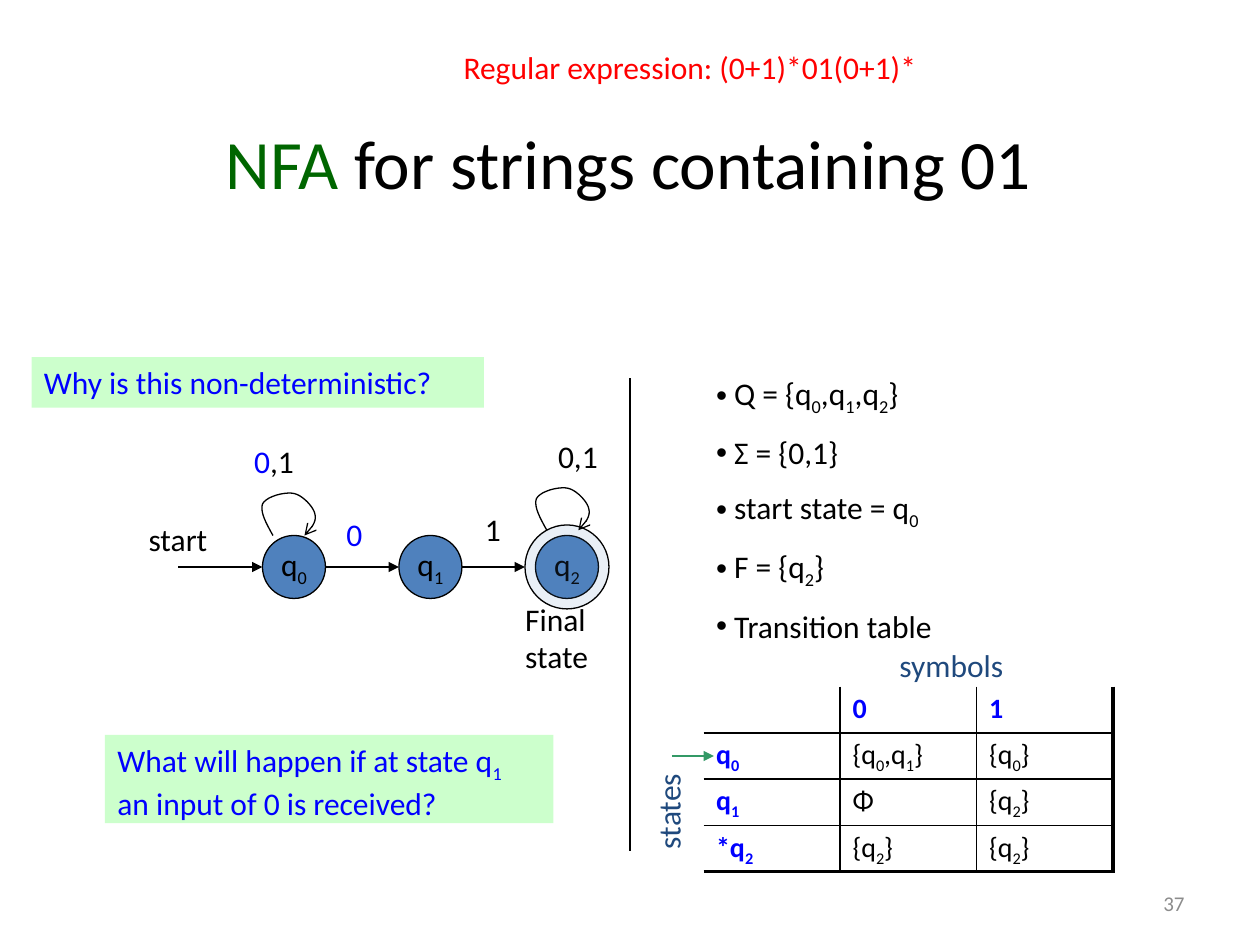
from lxml import etree
from pptx import Presentation
from pptx.dml.color import RGBColor
from pptx.enum.shapes import MSO_CONNECTOR, MSO_SHAPE
from pptx.enum.text import MSO_ANCHOR, MSO_AUTO_SIZE, PP_ALIGN
from pptx.oxml.ns import qn
from pptx.util import Pt

STRAIGHT = MSO_CONNECTOR.STRAIGHT
OVAL, RECTANGLE = MSO_SHAPE.OVAL, MSO_SHAPE.RECTANGLE
MIDDLE, TOP = MSO_ANCHOR.MIDDLE, MSO_ANCHOR.TOP
LEFT, CENTER, RIGHT = PP_ALIGN.LEFT, PP_ALIGN.CENTER, PP_ALIGN.RIGHT
NO_AUTOFIT = MSO_AUTO_SIZE.NONE
FONT = "Calibri"
COLORS = {"black": "000000", "blue": "0000FF", "state": "4F81BD", "note": "CCFFCC",
          "title": "006600", "red": "FF0000", "navy": "1F497D", "start": "339966",
          "gray": "8C8C8C"}

# An underscore makes the next character a subscript.
TITLE = [("NFA", "title"), (" for strings containing 01", "black")]
DEFINITION = ["Q = {q_0,q_1,q_2}", "Σ = {0,1}", "start state = q_0", "F = {q_2}",
              "Transition table"]
TRANSITIONS = [["", "0", "1"],
               ["q_0", "{q_0,q_1}", "{q_0}"],
               ["q_1", "Φ", "{q_2}"],
               ["*q_2", "{q_2}", "{q_2}"]]
LABELS = [
    ([[("start", "black")]], 77.8, 293.8, 61, 36),
    ([[("0", "blue")]], 190.8, 290.9, 28, 36),
    ([[("0", "blue"), (",1", "black")]], 138.2, 249.1, 47.5, 36),
    ([[("0,1", "black")]], 311.8, 246.2, 47.5, 36),
    ([[("1", "black")]], 270, 288, 28, 36),
    ([[("Final", "black")], [("state", "black")]], 293, 339.1, 66.2, 64.8),
    ([[("symbols", "navy")]], 506.9, 365.8, 80.6, 29),
    ([[("Regular expression: (0+1)*01(0+1)*", "red")]], 257.8, 23.8, 395, 37),
]
NOTES = [
    (["What will happen if at state q_1", "an input of 0 is received?"], 60, 420, 256.3, 50.4),
    (["Why is this non-deterministic?"], 18, 204, 258.5, 29),
]
STATE_CENTERS = [168, 246, 324]
STATE_Y, STATE_RADIUS, FINAL_RADIUS = 324, 18, 24
LOOP_ORIGINS = [(168, 324), (324.5, 321)]
LOOP = [(-12, -18), (-16, -25), (-19.5, -31.7), (-18, -36), (-16, -40.3), (-5, -43.2),
        (0, -42), (5, -41), (11.5, -34), (12, -30), (13, -26), (10, -22), (6, -18)]
CURVE_STEPS = 10
TABLE_LEFT, TABLE_TOP, COLUMN_WIDTH, ROW_HEIGHT = 402, 392.4, 78, 26.4


def rgb(name):
    return RGBColor.from_string(COLORS[name])


def box(*lengths):
    return [Pt(length) for length in lengths]


def write(paragraph, segments, size=18, bold=False, align=LEFT):
    paragraph.alignment = align
    for text, color in segments:
        first, *others = text.split("_")
        pieces = [(first, False)]
        for other in others:
            pieces += [(other[0], True), (other[1:], False)]
        for piece, subscript in pieces:
            if not piece:
                continue
            run = paragraph.add_run()
            run.text = piece
            run.font.name, run.font.size, run.font.bold = FONT, Pt(size), bold
            run.font.color.rgb = rgb(color)
            if subscript:
                run.font._element.set("baseline", "-25000")


def fill_frame(frame, paragraphs, anchor=TOP, **style):
    frame.word_wrap = True
    frame.auto_size = NO_AUTOFIT
    frame.vertical_anchor = anchor
    for index, segments in enumerate(paragraphs):
        paragraph = frame.add_paragraph() if index else frame.paragraphs[0]
        write(paragraph, segments, **style)


def add_label(slide, paragraphs, *place, **style):
    label = slide.shapes.add_textbox(*box(*place))
    fill_frame(label.text_frame, paragraphs, **style)
    return label


def set_line(shape, color="black", width=0.75, arrowhead=None):
    shape.line.color.rgb = rgb(color)
    shape.line.width = Pt(width)
    if arrowhead:
        etree.SubElement(shape.line._get_or_add_ln(), qn("a:tailEnd"), type=arrowhead)


def add_line(slide, *ends, color="black", arrowhead=None):
    connector = slide.shapes.add_connector(STRAIGHT, *box(*ends))
    set_line(connector, color, arrowhead=arrowhead)
    etree.SubElement(connector._element.spPr, qn("a:effectLst"))


def add_filled(slide, preset, color, *place):
    shape = slide.shapes.add_shape(preset, *box(*place))
    shape.shadow.inherit = False
    shape.fill.solid()
    shape.fill.fore_color.rgb = rgb(color)
    return shape


def add_circle(slide, center, radius):
    circle = add_filled(slide, OVAL, "state", center - radius, STATE_Y - radius,
                        2 * radius, 2 * radius)
    set_line(circle)
    return circle


def add_loop(slide, left, top):
    points = []
    for start in range(0, len(LOOP) - 1, 3):
        curve = LOOP[start:start + 4]
        for step in range(CURVE_STEPS + 1):
            t = step / CURVE_STEPS
            weights = ((1 - t) ** 3, 3 * t * (1 - t) ** 2, 3 * t * t * (1 - t), t ** 3)
            x, y = (sum(w * p[axis] for w, p in zip(weights, curve)) for axis in (0, 1))
            points.append((Pt(left + x), Pt(top + y)))
    builder = slide.shapes.build_freeform(*points[0])
    builder.add_line_segments(points[1:], close=False)
    loop = builder.convert_to_shape()
    loop.shadow.inherit = False
    loop.fill.background()
    set_line(loop, arrowhead="arrow")


def set_border(cell, side, width):
    line = etree.SubElement(cell._tc.get_or_add_tcPr(), qn("a:" + side), w=str(Pt(width)))
    if width:
        fill = etree.SubElement(line, qn("a:solidFill"))
        etree.SubElement(fill, qn("a:srgbClr"), val=COLORS["black"])
    else:
        etree.SubElement(line, qn("a:noFill"))


def add_transition_table(slide):
    rows, columns = len(TRANSITIONS), len(TRANSITIONS[0])
    table = slide.shapes.add_table(rows, columns, *box(
        TABLE_LEFT, TABLE_TOP, columns * COLUMN_WIDTH, rows * ROW_HEIGHT)).table
    table.first_row = table.horz_banding = False
    for row, texts in enumerate(TRANSITIONS):
        table.rows[row].height = Pt(ROW_HEIGHT)
        for column, text in enumerate(texts):
            cell = table.cell(row, column)
            cell.margin_left = cell.margin_right = Pt(7.2)
            cell.margin_top, cell.margin_bottom = Pt(3), Pt(0)
            cell.vertical_anchor = TOP
            set_border(cell, "lnL", 1 if column else 0)
            set_border(cell, "lnR", 1 if column < columns - 1 else 2.25)
            set_border(cell, "lnT", 1 if row else 0)
            set_border(cell, "lnB", 1 if row < rows - 1 else 2.25)
            cell.fill.background()
            header = row == 0 or column == 0
            write(cell.text_frame.paragraphs[0], [(text, "blue" if header else "black")],
                  size=16, bold=header)


def add_definition(body):
    body.left, body.top, body.width, body.height = box(402, 210, 252, 166)
    fill_frame(body.text_frame, [[(text, "black")] for text in DEFINITION])
    for index, paragraph in enumerate(body.text_frame.paragraphs):
        paragraph.space_before = Pt(9.5 if index else 0)
        properties = paragraph._p.get_or_add_pPr()
        properties.set("marL", str(Pt(10.3)))
        properties.set("indent", str(-Pt(10.3)))
        etree.SubElement(properties, qn("a:buChar"), char="•")


def add_automaton(slide):
    for index, center in enumerate(STATE_CENTERS):
        circle = add_circle(slide, center, STATE_RADIUS)
        fill_frame(circle.text_frame, [[(f"q_{index}", "black")]], MIDDLE, align=CENTER)
        circle.text_frame.word_wrap = False
    ring = add_circle(slide, STATE_CENTERS[-1], FINAL_RADIUS)
    color = ring.fill._xPr.find(qn("a:solidFill"))[0]
    etree.SubElement(color, qn("a:alpha"), val="12000")
    for start, end in [(102, 150), (186, 228), (264, 300)]:
        add_line(slide, start, STATE_Y, end, STATE_Y, arrowhead="triangle")
    for origin in LOOP_ORIGINS:
        add_loop(slide, *origin)


def main():
    presentation = Presentation()
    presentation.slide_width, presentation.slide_height = box(720, 540)
    slide = presentation.slides.add_slide(presentation.slide_layouts[1])
    title, body = slide.placeholders
    title.left, title.top, title.width, title.height = box(30.2, 66.2, 658, 52)
    fill_frame(title.text_frame, [TITLE], MIDDLE, size=39.6, align=CENTER)
    add_definition(body)
    add_automaton(slide)
    add_line(slide, 360, 216, 360, 486)
    add_transition_table(slide)
    add_line(slide, 384, 432, 408, 432, color="start", arrowhead="triangle")
    for paragraphs, *place in LABELS:
        add_label(slide, paragraphs, *place)
    states = add_label(slide, [[("states", "navy")]], 350.6, 446.4, 62.6, 29)
    states.rotation = 270
    for texts, *place in NOTES:
        note = add_filled(slide, RECTANGLE, "note", *place)
        note.line.fill.background()
        fill_frame(note.text_frame, [[(text, "blue")] for text in texts])
    add_label(slide, [[("37", "gray")]], 534, 498, 150, 36,
              anchor=MIDDLE, size=12, align=RIGHT)
    presentation.save("out.pptx")


if __name__ == "__main__":
    main()
